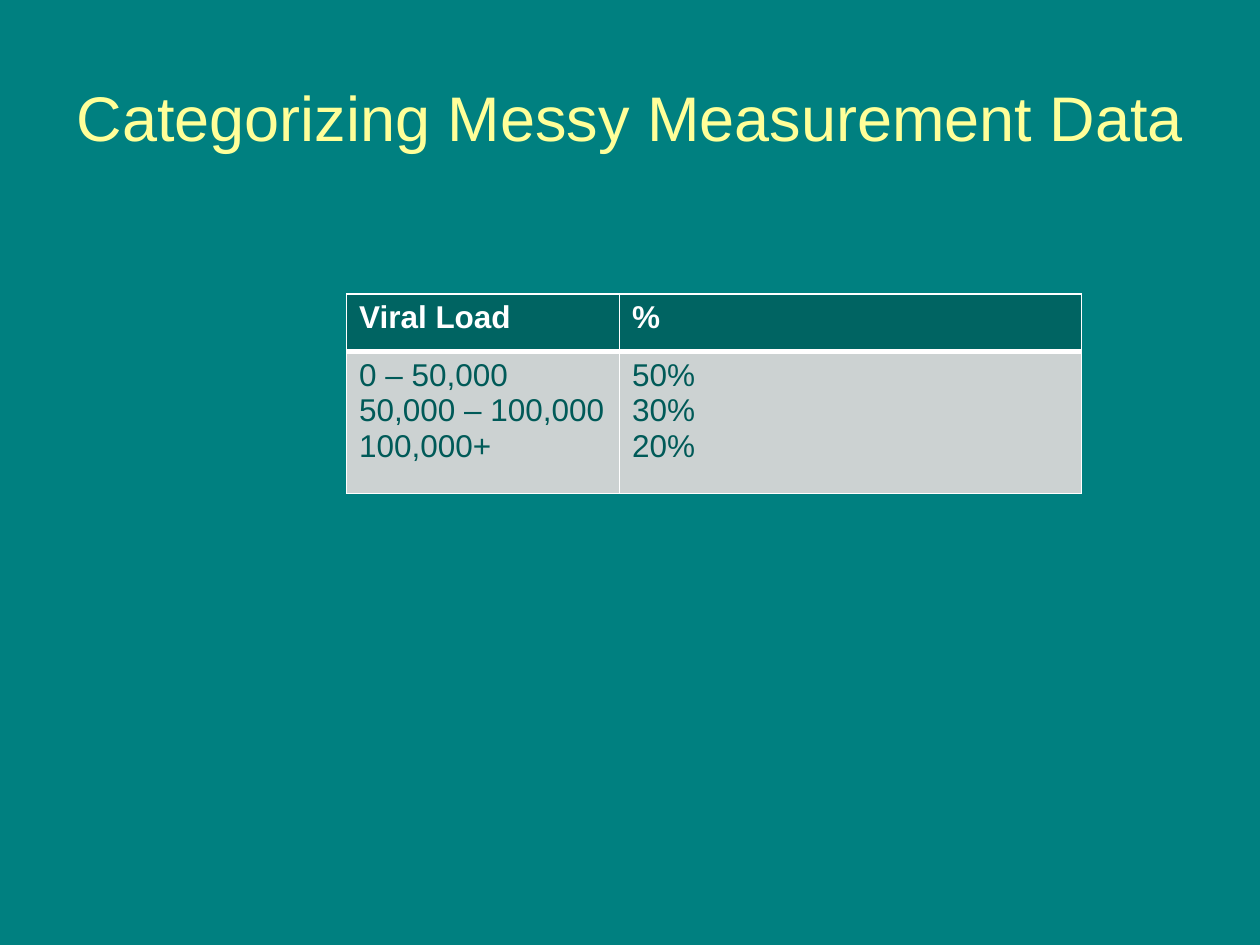
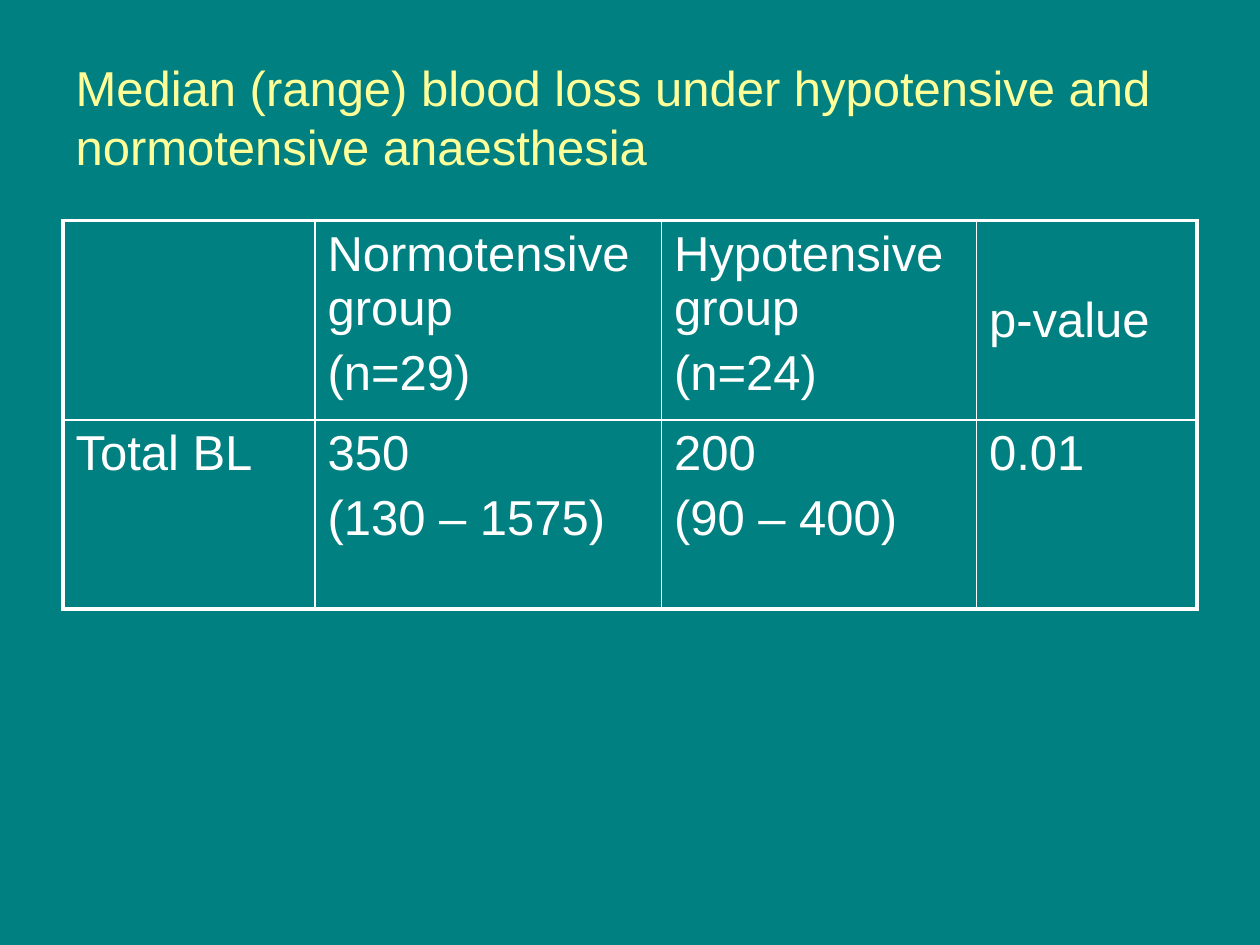
from lxml import etree
from pptx import Presentation, util as u
from pptx.dml.color import RGBColor
from pptx.enum import text
from pptx.oxml.ns import qn

TEAL, YELLOW, WHITE = "008080", "FFFF99", "FFFFFF"
HEADER_FILL, BODY_FILL, BODY_TEXT = "006462", "CCD2D2", "005A58"
THIN, MEDIUM, THICK = 0.96, 2.21, 3
MIDDLE = text.MSO_ANCHOR.MIDDLE


def grid(units):
    return u.Inches(units / 12)


def color(hex_value):
    return RGBColor.from_string(hex_value)


def paint(fill, hex_value):
    if hex_value is None:
        fill.background()
    else:
        fill.solid()
        fill.fore_color.rgb = color(hex_value)


def style(paragraph, size, hex_value, bold=False):
    formats = {"name": "Arial", "size": u.Pt(size), "bold": bold}
    for attribute, value in formats.items():
        setattr(paragraph.font, attribute, value)
    paragraph.font.color.rgb = color(hex_value)


def place(shape, left, top, width, height):
    box = {"left": left, "top": top, "width": width, "height": height}
    for attribute, units in box.items():
        setattr(shape, attribute, grid(units))


def add_titled_slide(deck, layout, heading, size, align):
    slide = deck.slides.add_slide(layout)
    frame = slide.shapes.title.text_frame
    frame.text = heading
    formats = {"vertical_anchor": MIDDLE, "word_wrap": True,
               "auto_size": text.MSO_AUTO_SIZE.NONE}
    for attribute, value in formats.items():
        setattr(frame, attribute, value)
    frame.paragraphs[0].alignment = align
    style(frame.paragraphs[0], size, YELLOW)
    return slide


def add_borders(cell, widths):
    properties = cell._tc.get_or_add_tcPr()
    for side in "LRTB":
        line = etree.SubElement(properties, qn(f"a:ln{side}"), w=str(u.Pt(widths[side])))
        fill = etree.SubElement(line, qn("a:solidFill"))
        etree.SubElement(fill, qn("a:srgbClr"), val=WHITE)


def fill_cell(cell, lines, size, look, gap):
    cell.text = "\n".join(lines)
    for index, paragraph in enumerate(cell.text_frame.paragraphs):
        paragraph.space_before = u.Pt(gap if index else 0)
        style(paragraph, size, look["text"], look["bold"])
    paint(cell.fill, look["fill"])


def add_data_table(slide, left, top, columns, rows, content, looks, size,
                   outer=THIN, under_header=THIN, gap=0):
    table = slide.shapes.add_table(
        len(rows), len(columns), grid(left), grid(top),
        grid(sum(columns)), grid(sum(rows))).table
    for column, width in zip(table.columns, columns):
        column.width = grid(width)
    for r, (row, height) in enumerate(zip(table.rows, rows)):
        row.height = grid(height)
        for c, cell in enumerate(row.cells):
            add_borders(cell, {
                "L": THIN if c else outer,
                "R": THIN if c < len(columns) - 1 else outer,
                "T": under_header if r else outer,
                "B": under_header if r < len(rows) - 1 else outer})
            fill_cell(cell, content[r][c], size, looks[r], gap)
    return table


def main():
    deck = Presentation()
    deck.slide_width, deck.slide_height = grid(120), grid(90)
    paint(deck.slide_master.background.fill, TEAL)
    layout = deck.slide_layouts[5]
    place(layout.placeholders[0], 6, 3.6, 108, 15)

    viral_load = add_titled_slide(
        deck, layout, "Categorizing Messy Measurement Data", 36, text.PP_ALIGN.CENTER)
    add_data_table(
        viral_load, 33, 28, (26, 44), (5.5, 13.5),
        [[["Viral Load"], ["%"]],
         [["0 – 50,000", "50,000 – 100,000", "100,000+"], ["50%", "30%", "20%"]]],
        [{"text": WHITE, "fill": HEADER_FILL, "bold": True},
         {"text": BODY_TEXT, "fill": BODY_FILL, "bold": False}],
        18, under_header=THICK)

    blood_loss = add_titled_slide(
        deck, layout,
        "Median (range) blood loss under hypotensive and normotensive anaesthesia",
        28, text.PP_ALIGN.LEFT)
    plain = {"text": WHITE, "fill": None, "bold": False}
    groups = add_data_table(
        blood_loss, 6, 21, (24, 33, 30, 21), (19, 18),
        [[[], ["Normotensive group", "(n=29)"], ["Hypotensive group", "(n=24)"], ["p-value"]],
         [["Total BL"], ["350", "(130 – 1575)"], ["200", "(90 – 400)"], ["0.01"]]],
        [plain, plain], 28, outer=MEDIUM, gap=5.6)
    groups.cell(0, 3).vertical_anchor = MIDDLE

    deck.save("out.pptx")


if __name__ == "__main__":
    main()
